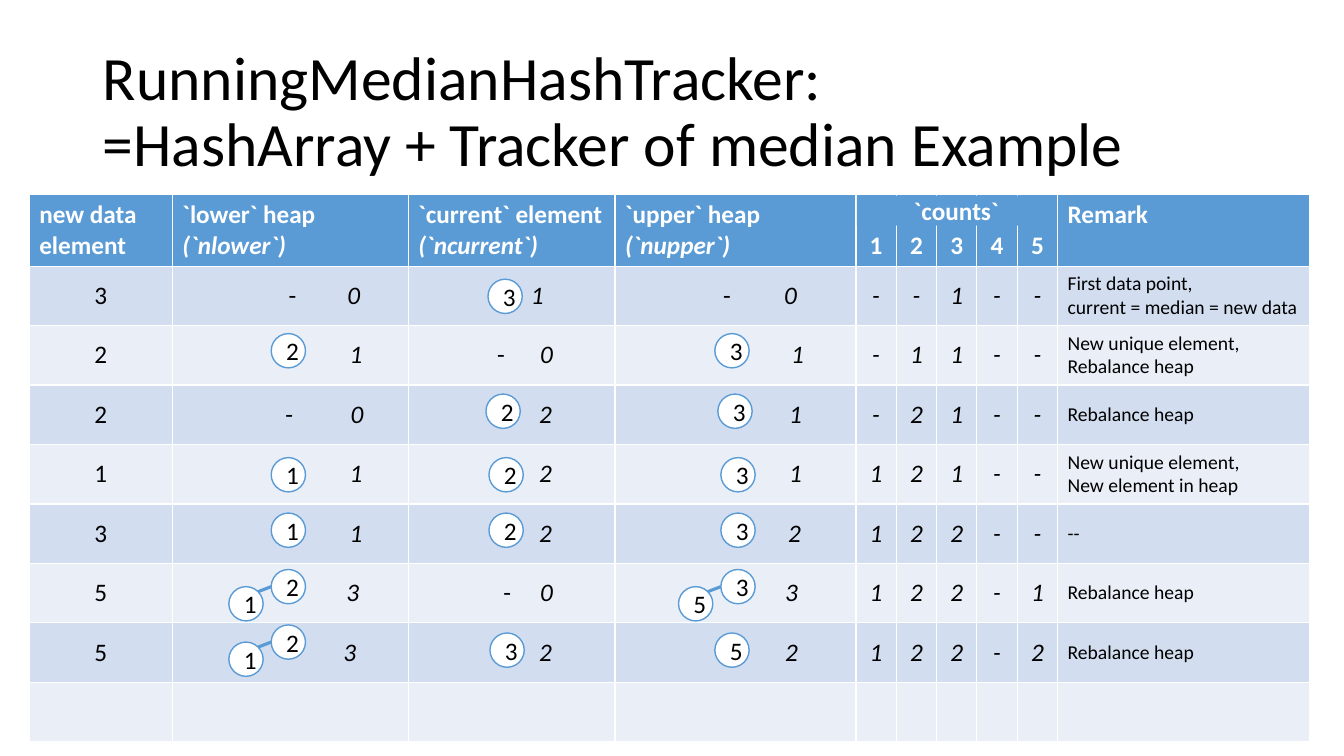
from lxml import etree
from pptx import Presentation
from pptx.dml.color import RGBColor
from pptx.enum.shapes import MSO_CONNECTOR, MSO_SHAPE
from pptx.enum.text import MSO_ANCHOR, MSO_AUTO_SIZE, PP_ALIGN
from pptx.oxml.ns import qn
from pptx.util import Inches, Pt

LEFT, CENTER = PP_ALIGN.LEFT, PP_ALIGN.CENTER
TOP, MIDDLE, BOTTOM = MSO_ANCHOR.TOP, MSO_ANCHOR.MIDDLE, MSO_ANCHOR.BOTTOM
OVAL, RECT = MSO_SHAPE.OVAL, MSO_SHAPE.RECTANGLE
STRAIGHT = MSO_CONNECTOR.STRAIGHT

COLORS = {"blue": "5B9BD5", "band": "D2DEEF", "light": "EAEFF7",
          "white": "FFFFFF", "black": "000000"}


def rgb(name):
    return RGBColor.from_string(COLORS[name])


def write(p, text, size=18, color="black", bold=False, italic=False, align=LEFT):
    p.alignment = align
    r = p.add_run()
    r.text = text
    r.font.name, r.font.size = "Calibri", Pt(size)
    r.font.bold, r.font.italic = bold, italic
    r.font.color.rgb = rgb(color)


prs = Presentation()
prs.slide_width, prs.slide_height = Inches(13.33), Inches(7.5)
slide = prs.slides.add_slide(prs.slide_layouts[5])
shapes = slide.shapes

# Title
title = shapes.title
title.left, title.top = Inches(0.92), Inches(0.4)
title.width, title.height = Inches(11.5), Inches(1.45)
tf = title.text_frame
tf.auto_size, tf.vertical_anchor = MSO_AUTO_SIZE.NONE, MIDDLE
p = tf.paragraphs[0]
write(p, "RunningMedianHashTracker:", size=44)
p.add_line_break()
write(p, "=HashArray + Tracker of median Example", size=44)
p.line_spacing = 0.9

# Table grid
TABLE_X, TABLE_Y, ROW_H, MARGIN = 0.29, 1.93, 0.59, 0.1
COLS = [1.42, 2.34, 2.05, 2.39] + [0.4] * 5 + [2.5]
N_ROWS = 9
frame = shapes.add_table(N_ROWS, len(COLS), Inches(TABLE_X), Inches(TABLE_Y),
                         Inches(sum(COLS)), Inches(N_ROWS * ROW_H))
table = frame.table
for column, width in zip(table.columns, COLS):
    column.width = Inches(width)
for i, row in enumerate(table.rows):
    row.height = Inches(ROW_H)
    for cell in row.cells:
        cell.fill.solid()
        cell.fill.fore_color.rgb = rgb("blue" if i == 0 else "band" if i % 2 else "light")
        cell.vertical_anchor = MIDDLE if i else TOP

# Header row: the second line of a heap column is italic
HEADERS = ["new data element", "`lower` heap\n(`nlower`)",
           "`current` element\n(`ncurrent`)", "`upper` heap\n(`nupper`)",
           "1", "2", "3", "4", "5", "Remark"]
for c, header in enumerate(HEADERS):
    cell = table.cell(0, c)
    is_count = header.isdigit()
    if is_count:
        cell.vertical_anchor = BOTTOM
    for k, line in enumerate(header.split("\n")):
        p = cell.text_frame.add_paragraph() if k else cell.text_frame.paragraphs[0]
        write(p, line, color="white", bold=True, italic=k > 0,
              align=CENTER if is_count else LEFT)

# Data: element, three heap cells as (text, x on slide) entries, counts, remark
ROWS = [
    ("3", [("-", 2.9), ("0", 3.51)], [("1", 5.33)], [("-", 7.21), ("0", 7.84)],
     "--1--", "First data point,\ncurrent = median = new data"),
    ("2", [("1", 3.53)], [("-", 4.97), ("0", 5.42)], [("1", 7.91)],
     "-11--", "New unique element,\nRebalance heap"),
    ("2", [("-", 2.87), ("0", 3.54)], [("2", 5.41)], [("1", 7.89)],
     "-21--", "Rebalance heap"),
    ("1", [("1", 3.53)], [("2", 5.41)], [("1", 7.89)],
     "121--", "New unique element,\nNew element in heap"),
    ("3", [("1", 3.53)], [("2", 5.41)], [("2", 7.88)], "122--", "--"),
    ("5", [("3", 3.5)], [("-", 5.03), ("0", 5.42)], [("3", 7.85)],
     "122-1", "Rebalance heap"),
    ("5", [("3", 3.47)], [("2", 5.41)], [("2", 7.85)], "122-2", "Rebalance heap"),
]
for i, (element, lower, current, upper, counts, remark) in enumerate(ROWS, start=1):
    write(table.cell(i, 0).text_frame.paragraphs[0], element, align=CENTER)

    # Heap cells: entries stand on centred tab stops
    for c, entries in enumerate([lower, current, upper], start=1):
        p = table.cell(i, c).text_frame.paragraphs[0]
        text_x = TABLE_X + sum(COLS[:c]) + MARGIN
        for text, x in entries:
            write(p, "\t" + text, italic=text != "-")
        tabs = etree.SubElement(p._p.get_or_add_pPr(), qn("a:tabLst"))
        for text, x in entries:
            etree.SubElement(tabs, qn("a:tab"), pos=str(Inches(x - text_x)), algn="ctr")

    for c, count in enumerate(counts, start=4):
        write(table.cell(i, c).text_frame.paragraphs[0], count, italic=True, align=CENTER)

    tf = table.cell(i, 9).text_frame
    for k, line in enumerate(remark.split("\n")):
        write(tf.add_paragraph() if k else tf.paragraphs[0], line, size=14)

# Heap nodes: value, left, top
NODE = 0.34
NODES = [
    ("3", 4.84, 2.77),
    ("2", 2.69, 3.31), ("3", 7.09, 3.31),
    ("2", 4.82, 3.91), ("3", 7.12, 3.91),
    ("1", 2.69, 4.54), ("2", 4.85, 4.54), ("3", 7.15, 4.54),
    ("1", 2.69, 5.09), ("2", 4.85, 5.09), ("3", 7.15, 5.09),
    ("2", 2.69, 5.65), ("1", 2.27, 5.82), ("3", 7.15, 5.65), ("5", 6.73, 5.82),
    ("2", 2.69, 6.2), ("1", 2.27, 6.37), ("3", 4.86, 6.28), ("5", 7.09, 6.28),
]
for value, x, y in NODES:
    s = shapes.add_shape(OVAL, Inches(x), Inches(y), Inches(NODE), Inches(NODE))
    s.shadow.inherit = False
    s.fill.solid()
    s.fill.fore_color.rgb = rgb("white")
    s.line.color.rgb, s.line.width = rgb("blue"), Pt(1)
    s.text_frame.vertical_anchor = MIDDLE
    write(s.text_frame.paragraphs[0], value, align=CENTER)

# Edges from the left of a parent node to its child
for x, y in [(2.69, 5.82), (7.15, 5.82), (2.69, 6.37)]:
    edge = shapes.add_connector(STRAIGHT, Inches(x), Inches(y),
                                Inches(x - 0.13), Inches(y + 0.05))
    edge.line.color.rgb, edge.line.width = rgb("blue"), Pt(2.25)
    etree.SubElement(edge._element.spPr, qn("a:effectLst"))

# Heading across the count columns
s = shapes.add_shape(RECT, Inches(8.5), Inches(1.94), Inches(1.97), Inches(0.3))
s.shadow.inherit = False
s.fill.solid()
s.fill.fore_color.rgb = rgb("blue")
s.line.fill.background()
tf = s.text_frame
tf.margin_left = tf.margin_right = tf.margin_top = tf.margin_bottom = 0
tf.vertical_anchor = TOP
write(tf.paragraphs[0], "`counts`", color="white", bold=True, align=CENTER)

prs.save("out.pptx")
